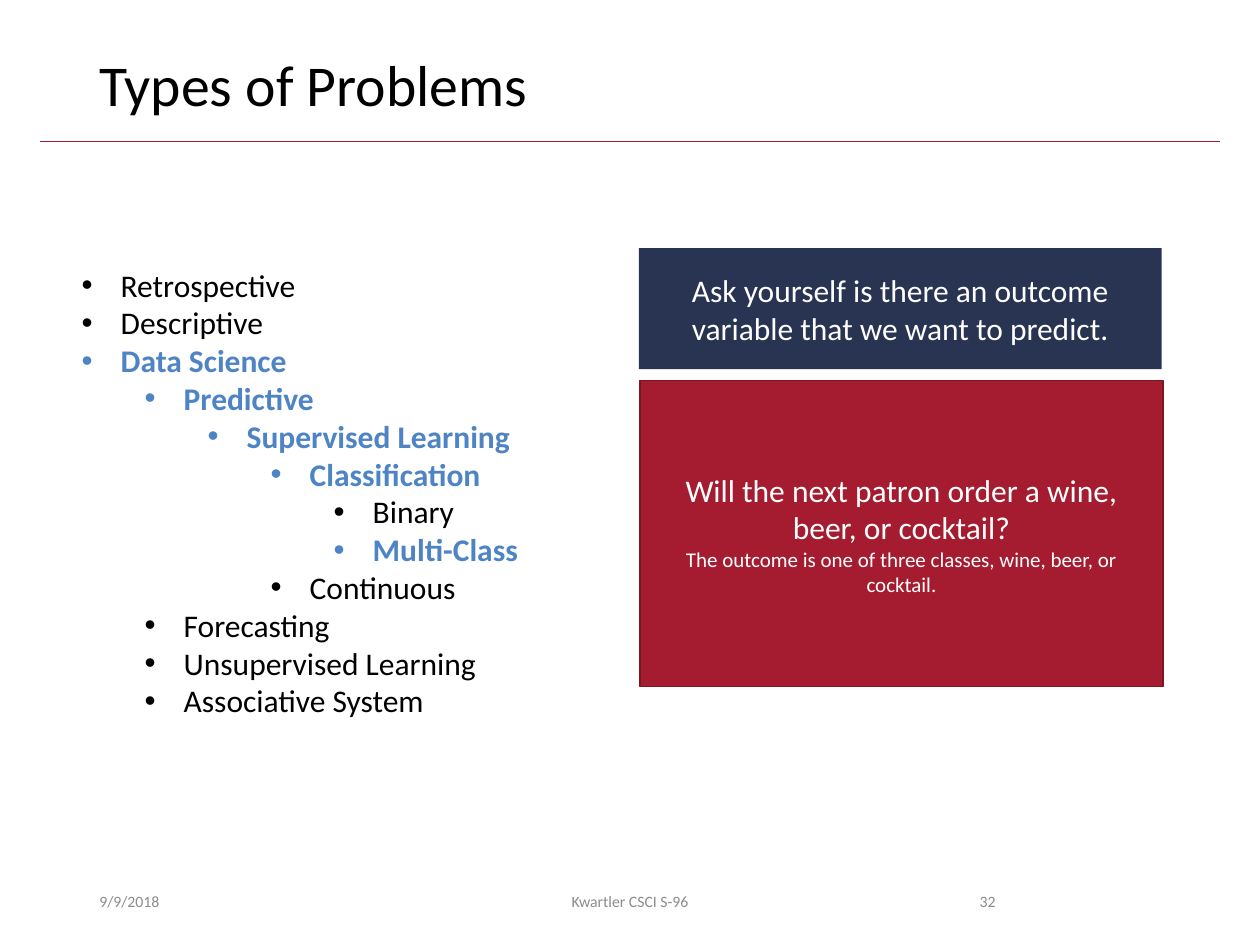
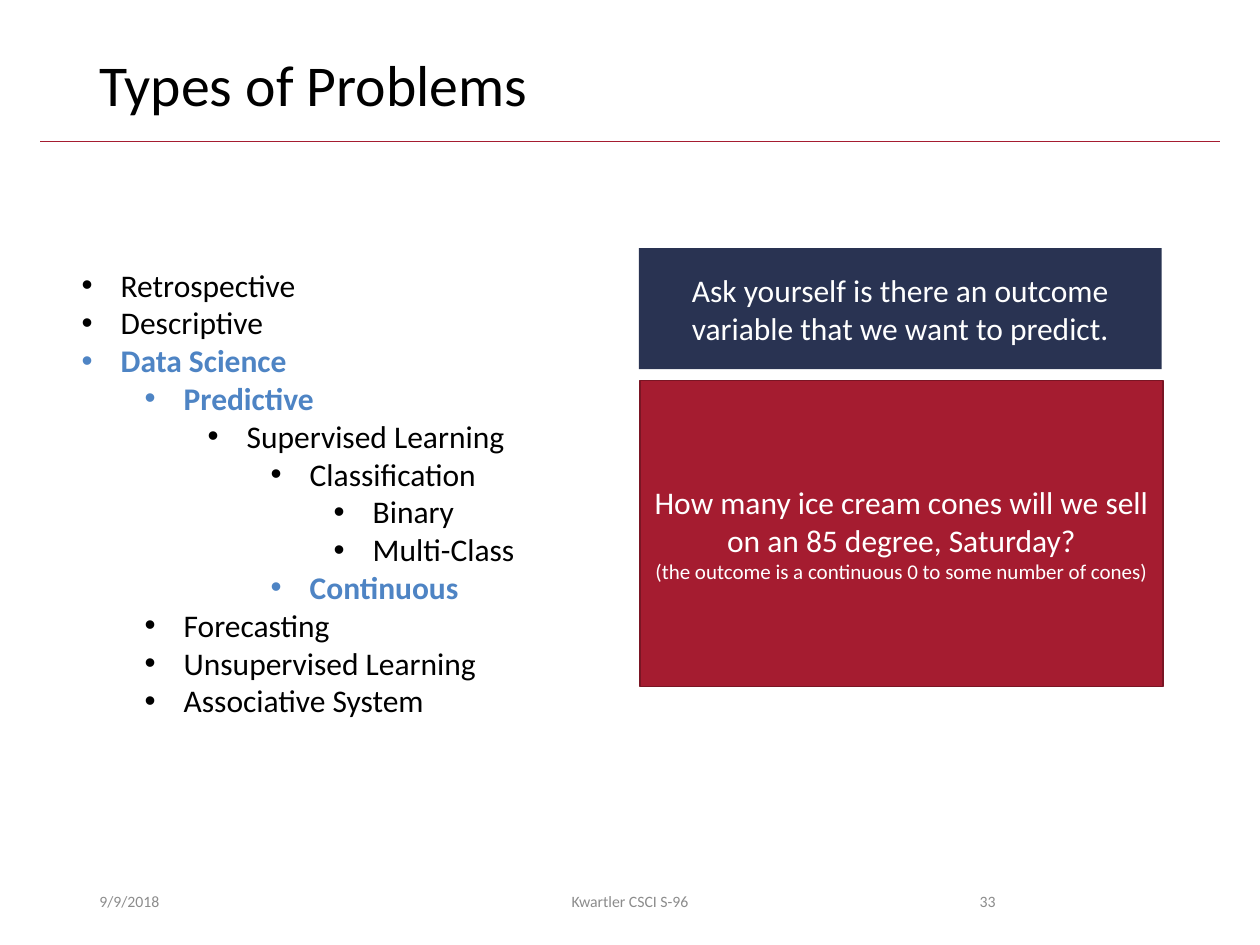
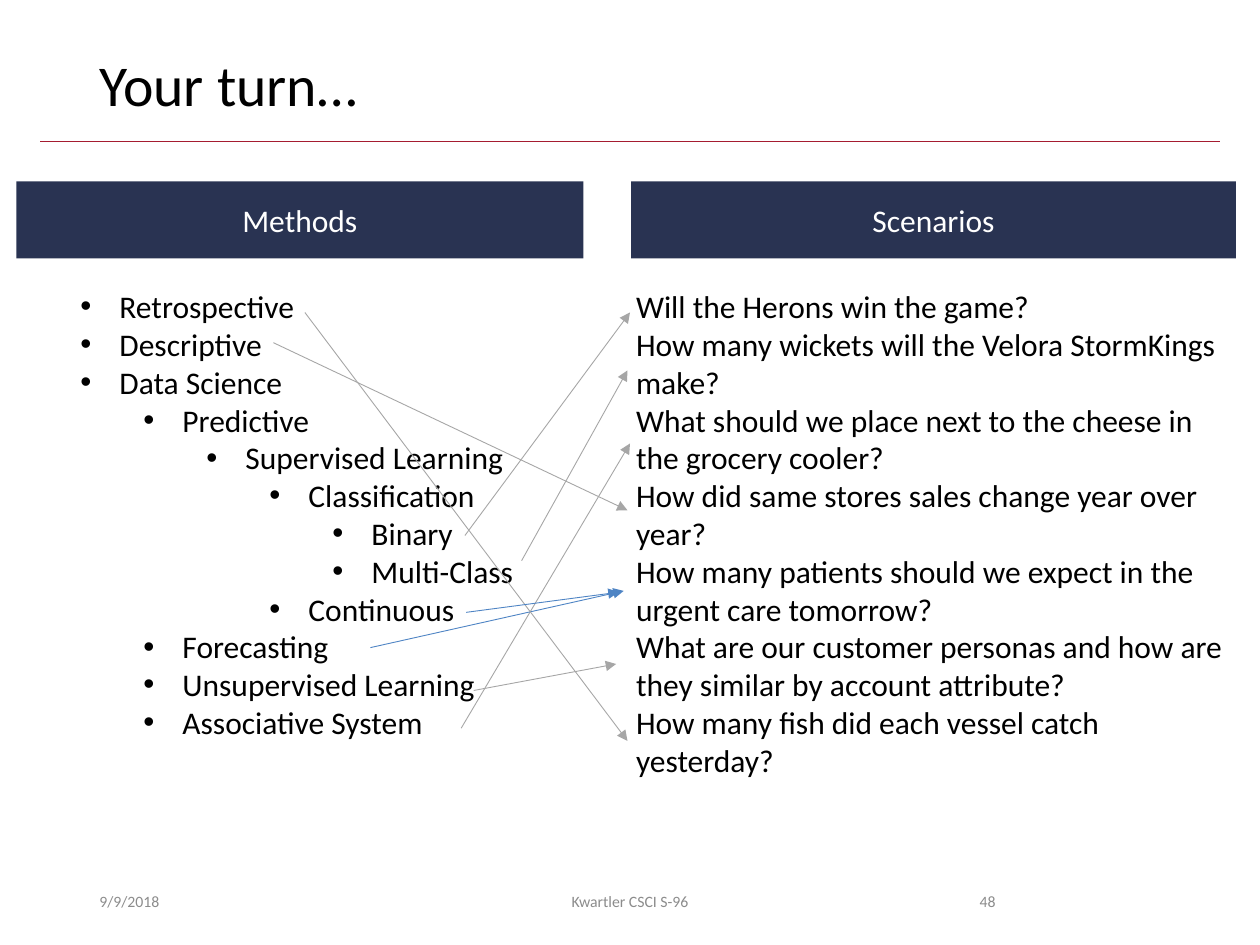
import dataclasses

import lxml.etree
import pptx
import pptx.dml.color
import pptx.enum.shapes
import pptx.enum.text
import pptx.oxml.ns
import pptx.shapes.autoshape
import pptx.slide
import pptx.text.text
import pptx.util

Inches = pptx.util.Inches
ALIGN = pptx.enum.text.PP_ALIGN
ANCHOR = pptx.enum.text.MSO_ANCHOR

FONT = "Calibri"
BLACK, WHITE = "000000", "FFFFFF"
NAVY, CRIMSON, DARK_CRIMSON = "293352", "A51C30", "7A1524"
BLUE, GREY, FOOTER_GREY = "4E84C4", "A6A6A6", "8C8C8C"


@dataclasses.dataclass(frozen=True)
class Box:
    left: float
    top: float
    width: float
    height: float

    def lengths(self) -> list[int]:
        return [Inches(side) for side in dataclasses.astuple(self)]


@dataclasses.dataclass(frozen=True)
class Line:
    text: str
    size: float = 18
    color: str = BLACK
    bold: bool = False
    align: ALIGN = ALIGN.LEFT
    level: int | None = None
    spacing: float | None = None


@dataclasses.dataclass(frozen=True)
class Arrow:
    start: tuple[float, float]
    end: tuple[float, float]
    color: str = GREY


@dataclasses.dataclass(frozen=True)
class Example:
    number: int
    highlighted: set[str]
    question: str
    outcome: str


METHODS = [
    ("Retrospective", 0),
    ("Descriptive", 0),
    ("Data Science", 0),
    ("Predictive", 1),
    ("Supervised Learning", 2),
    ("Classification", 3),
    ("Binary", 4),
    ("Multi-Class", 4),
    ("Continuous", 3),
    ("Forecasting", 1),
    ("Unsupervised Learning", 1),
    ("Associative System", 1),
]

EXAMPLES = [
    Example(
        32,
        {"Data Science", "Predictive", "Supervised Learning", "Classification", "Multi-Class"},
        "Will the next patron order a wine, beer, or cocktail?",
        "The outcome is one of three classes, wine, beer, or cocktail.",
    ),
    Example(
        33,
        {"Data Science", "Predictive", "Continuous"},
        "How many ice cream cones will we sell on an 85 degree, Saturday?",
        "(the outcome is a continuous 0 to some number of cones)",
    ),
]

SCENARIOS = [
    "Will the Herons win the game?",
    "How many wickets will the Velora StormKings make?",
    "What should we place next to the cheese in the grocery cooler?",
    "How did same stores sales change year over year?",
    "How many patients should we expect in the urgent care tomorrow?",
    "What are our customer personas and how are they similar by account attribute?",
    "How many fish did each vessel catch yesterday?",
]

ANSWERS = [
    Arrow((3.69, 4.25), (5, 2.48)),
    Arrow((4.14, 4.45), (4.98, 2.94)),
    Arrow((3.66, 5.78), (5, 3.52)),
    Arrow((2.94, 5.14), (4.95, 4.69), BLUE),
    Arrow((3.76, 5.48), (4.89, 5.27)),
    Arrow((2.42, 2.48), (4.98, 5.88)),
    Arrow((2.17, 2.72), (4.98, 4.05)),
    Arrow((3.7, 4.86), (4.91, 4.7), BLUE),
]


def rgb(color: str) -> pptx.dml.color.RGBColor:
    return pptx.dml.color.RGBColor.from_string(color)


def add_xml(parent: lxml.etree._Element, tag: str, **attributes: str) -> None:
    lxml.etree.SubElement(parent, pptx.oxml.ns.qn(tag), attributes)


def add_bullet(paragraph: pptx.text.text._Paragraph, level: int) -> None:
    paragraph.level = level
    properties = paragraph._p.get_or_add_pPr()
    properties.set("marL", str(Inches(0.31 + 0.5 * level)))
    properties.set("indent", str(Inches(-0.31)))
    add_xml(properties, "a:buFont", typeface="Arial")
    add_xml(properties, "a:buChar", char="•")


def write_lines(frame: pptx.text.text.TextFrame, lines: list[Line]) -> None:
    for index, line in enumerate(lines):
        paragraph = frame.add_paragraph() if index else frame.paragraphs[0]
        paragraph.text = line.text
        paragraph.alignment = line.align
        if line.spacing is not None:
            paragraph.line_spacing = line.spacing
        if line.level is not None:
            add_bullet(paragraph, line.level)
        font = paragraph.font
        font.name = FONT
        font.size = pptx.util.Pt(line.size)
        font.bold = line.bold
        font.color.rgb = rgb(line.color)


def add_text(
    slide: pptx.slide.Slide,
    box: Box,
    lines: list[Line],
    anchor: ANCHOR = ANCHOR.TOP,
    wrap: bool = True,
) -> None:
    frame = slide.shapes.add_textbox(*box.lengths()).text_frame
    frame.word_wrap = wrap
    frame.vertical_anchor = anchor
    write_lines(frame, lines)


def add_panel(
    slide: pptx.slide.Slide,
    box: Box,
    lines: list[Line],
    fill: str = NAVY,
    border: str | None = None,
) -> None:
    panel = slide.shapes.add_shape(pptx.enum.shapes.MSO_SHAPE.RECTANGLE, *box.lengths())
    panel.shadow.inherit = False
    panel.fill.solid()
    panel.fill.fore_color.rgb = rgb(fill)
    if border:
        panel.line.color.rgb = rgb(border)
        panel.line.width = pptx.util.Pt(1)
    else:
        panel.line.fill.background()
    panel.text_frame.word_wrap = True
    panel.text_frame.vertical_anchor = ANCHOR.MIDDLE
    centred = [dataclasses.replace(line, color=WHITE, align=ALIGN.CENTER) for line in lines]
    write_lines(panel.text_frame, centred)


def add_line(slide: pptx.slide.Slide, arrow: Arrow, pointed: bool = True) -> None:
    ends = [Inches(value) for value in (*arrow.start, *arrow.end)]
    connector = slide.shapes.add_connector(pptx.enum.shapes.MSO_CONNECTOR.STRAIGHT, *ends)
    connector.line.color.rgb = rgb(arrow.color)
    connector.line.width = pptx.util.Pt(0.5)
    if pointed:
        add_xml(connector.line._get_or_add_ln(), "a:tailEnd", type="triangle")
    add_xml(connector._element.spPr, "a:effectLst")


def add_methods(
    slide: pptx.slide.Slide, left: float, top: float, highlighted: set[str]
) -> None:
    lines = [
        Line(
            method,
            color=BLUE if method in highlighted else BLACK,
            bold=method in highlighted,
            level=level,
        )
        for method, level in METHODS
    ]
    add_text(slide, Box(left, top, 3.67, 4.04), lines, wrap=False)


def start_slide(
    deck: pptx.presentation.Presentation, title: str, number: int
) -> pptx.slide.Slide:
    slide = deck.slides.add_slide(deck.slide_layouts[6])
    add_line(slide, Arrow((0.32, 1.12), (9.68, 1.12), CRIMSON), pointed=False)
    add_text(slide, Box(0.69, 0.4, 8.62, 0.65), [Line(title, 33, spacing=0.9)])
    for left, width, text, align in (
        (0.69, 2.25, "9/9/2018", ALIGN.LEFT),
        (3.31, 3.38, "Kwartler CSCI S-96", ALIGN.CENTER),
        (7.06, 0.94, str(number), ALIGN.RIGHT),
    ):
        footer = Line(text, 9, FOOTER_GREY, align=align)
        add_text(slide, Box(left, 6.95, width, 0.4), [footer], ANCHOR.MIDDLE)
    return slide


def add_example_slide(deck: pptx.presentation.Presentation, example: Example) -> None:
    slide = start_slide(deck, "Types of Problems", example.number)
    prompt = Line("Ask yourself is there an outcome variable that we want to predict.")
    add_panel(slide, Box(5.07, 1.97, 4.15, 0.96), [prompt])
    add_panel(
        slide,
        Box(5.08, 3.02, 4.15, 2.43),
        [Line(example.question), Line(example.outcome, 12)],
        CRIMSON,
        DARK_CRIMSON,
    )
    add_methods(slide, 0.55, 2.06, example.highlighted)


def add_exercise_slide(deck: pptx.presentation.Presentation) -> None:
    slide = start_slide(deck, "Your turn…", 48)
    add_methods(slide, 0.54, 2.23, set())
    add_text(slide, Box(4.95, 2.23, 4.97, 4.04), [Line(scenario) for scenario in SCENARIOS])
    for heading, left, width in (("Scenarios", 5.01, 4.8), ("Methods", 0.13, 4.5)):
        add_panel(slide, Box(left, 1.44, width, 0.61), [Line(heading)])
    for answer in ANSWERS:
        add_line(slide, answer)


def main() -> None:
    deck = pptx.Presentation()
    deck.slide_width, deck.slide_height = Inches(10), Inches(7.5)
    for example in EXAMPLES:
        add_example_slide(deck, example)
    add_exercise_slide(deck)
    deck.save("out.pptx")


if __name__ == "__main__":
    main()
